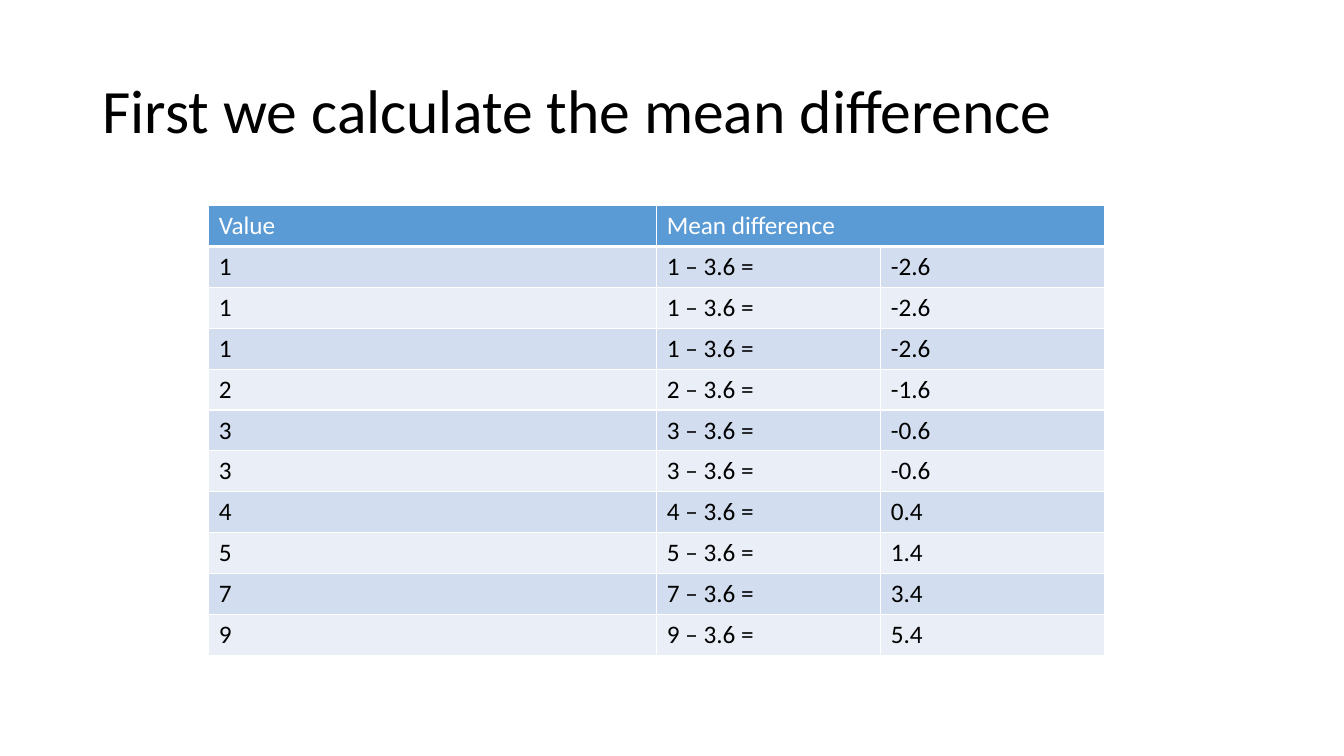
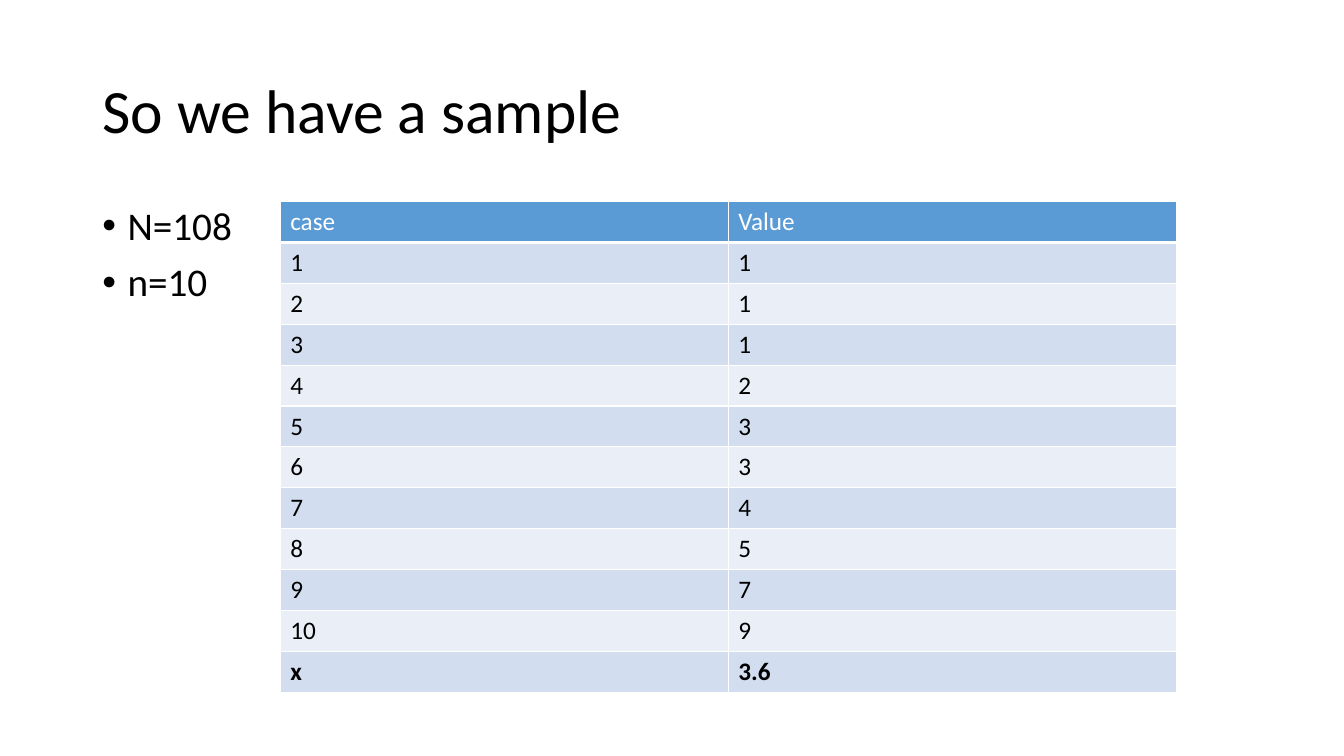
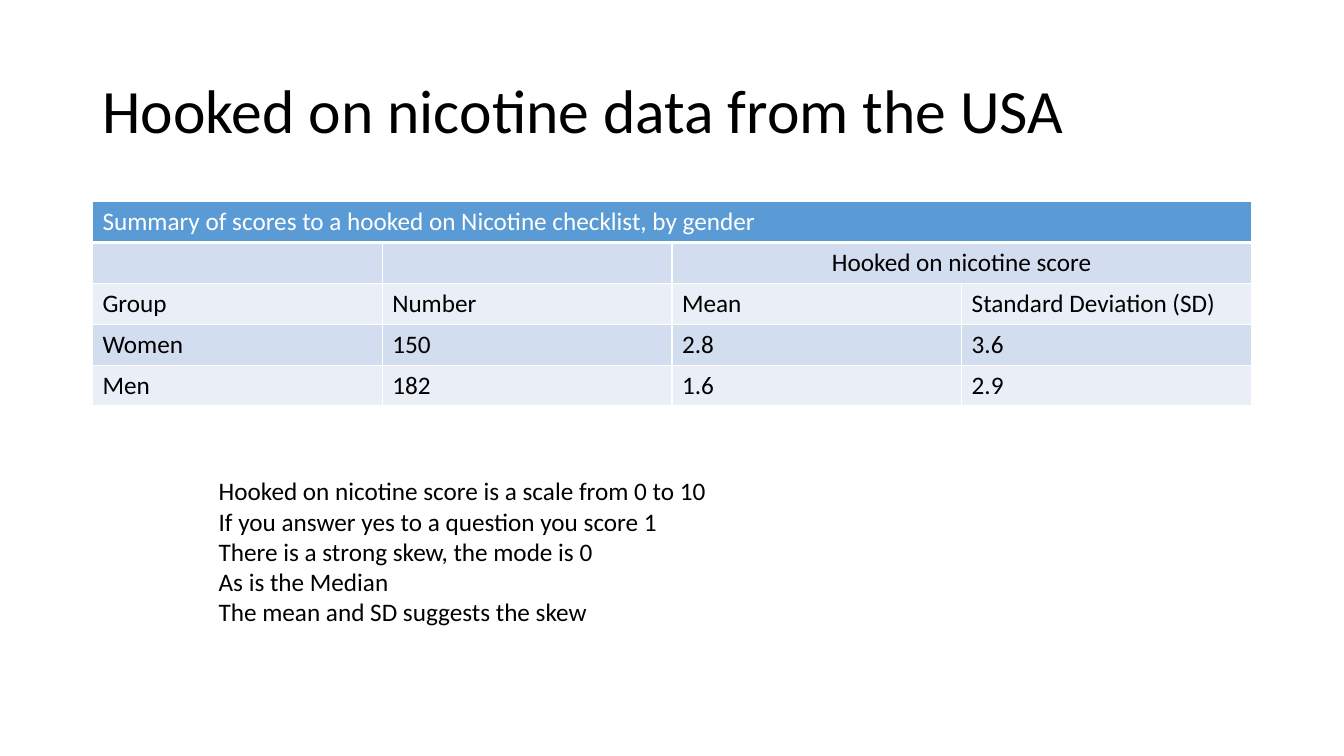
from dataclasses import dataclass

import pptx
import pptx.dml.color
import pptx.enum.text
import pptx.oxml.ns
import pptx.util
from lxml import etree

ALIGN = pptx.enum.text.PP_ALIGN
ANCHOR = pptx.enum.text.MSO_ANCHOR
AUTO_SIZE = pptx.enum.text.MSO_AUTO_SIZE
WIDTH, HEIGHT = pptx.util.Inches(13.33), pptx.util.Inches(7.5)


@dataclass(frozen=True)
class Theme:
    font: str = "Calibri"
    ink: str = "000000"
    paper: str = "FFFFFF"
    header: str = "5B9BD5"
    bands: tuple = ("D2DEEF", "EAEFF7")
    title_size: int = 44
    bullet_size: int = 28
    text_size: int = 18
    row_height: float = 29.2
    line_spacing: float = 0.9
    rule: int = 1
    header_rule: int = 3


@dataclass(frozen=True)
class Box:
    """An area in hundredths of the slide's width and height."""
    left: float
    top: float
    width: float
    height: float

    def place(self):
        return (int(WIDTH * self.left / 100), int(HEIGHT * self.top / 100),
                int(WIDTH * self.width / 100), int(HEIGHT * self.height / 100))


THEME = Theme()
MARGIN = 6.88
CONTENT_WIDTH = 100 - 2 * MARGIN
CONTENT_TOP = 26.67
INSET = 15.53
TABLE_WIDTH = 66.67
TITLE_BOX = Box(MARGIN, 5.33, CONTENT_WIDTH, 19.33)


def rgb(colour):
    return pptx.dml.color.RGBColor.from_string(colour)


def style(para, size, colour=THEME.ink, bold=False):
    para.font.name = THEME.font
    para.font.size = pptx.util.Pt(size)
    para.font.bold = bold
    para.font.color.rgb = rgb(colour)


def add_page(deck, title):
    """Title-only page with the shared title style."""
    page = deck.slides.add_slide(deck.slide_layouts[5])
    box = page.shapes.title
    box.left, box.top, box.width, box.height = TITLE_BOX.place()
    frame = box.text_frame
    frame.text = title
    frame.vertical_anchor = ANCHOR.MIDDLE
    frame.auto_size = AUTO_SIZE.NONE
    para = frame.paragraphs[0]
    para.alignment = ALIGN.LEFT
    para.line_spacing = THEME.line_spacing
    style(para, THEME.title_size)
    return page


def add_lines(page, area, lines, size):
    """Text box with one paragraph for each line."""
    frame = page.shapes.add_textbox(*area.place()).text_frame
    frame.word_wrap = True
    frame.text = "\n".join(lines)
    for para in frame.paragraphs:
        style(para, size)
    return frame


def add_bullets(page, area, lines):
    frame = add_lines(page, area, lines, THEME.bullet_size)
    for index, para in enumerate(frame.paragraphs):
        para.line_spacing = THEME.line_spacing
        if index:
            para.space_before = pptx.util.Pt(10)
        properties = para._p.get_or_add_pPr()
        indent = pptx.util.Inches(0.25)
        properties.set("marL", str(indent))
        properties.set("indent", str(-indent))
        # Bullet elements stand before the paragraph's font
        font = properties.find(pptx.oxml.ns.qn("a:defRPr"))
        for tag, name, value in (("a:buFont", "typeface", "Arial"), ("a:buChar", "char", "•")):
            bullet = etree.Element(pptx.oxml.ns.qn(tag))
            bullet.set(name, value)
            font.addprevious(bullet)


def add_borders(cell, bottom):
    properties = cell._tc.get_or_add_tcPr()
    widths = {"L": THEME.rule, "R": THEME.rule, "T": THEME.rule, "B": bottom}
    for side, width in widths.items():
        line = etree.SubElement(properties, pptx.oxml.ns.qn("a:ln" + side))
        line.set("w", str(pptx.util.Pt(width)))
        fill = etree.SubElement(line, pptx.oxml.ns.qn("a:solidFill"))
        etree.SubElement(fill, pptx.oxml.ns.qn("a:srgbClr")).set("val", THEME.paper)


def add_banded_table(page, left, top, shares, rows, bold_rows=(), centred=()):
    """Table with a header; None extends the cell to its left."""
    row_height = pptx.util.Pt(THEME.row_height)
    area = Box(left, top, sum(shares), 100 * row_height * len(rows) / HEIGHT)
    table = page.shapes.add_table(len(rows), len(shares), *area.place()).table
    table.first_row = table.horz_banding = False
    for column, share in zip(table.columns, shares):
        column.width = int(WIDTH * share / 100)
    for r, texts in enumerate(rows):
        table.rows[r].height = row_height
        is_header = r == 0
        fill = THEME.header if is_header else THEME.bands[(r - 1) % 2]
        for c, text in enumerate(texts):
            cell = table.cell(r, c)
            add_borders(cell, THEME.header_rule if is_header else THEME.rule)
            cell.fill.solid()
            cell.fill.fore_color.rgb = rgb(fill)
            if text is None:
                continue
            cell.text = text
            para = cell.text_frame.paragraphs[0]
            if (r, c) in centred:
                para.alignment = ALIGN.CENTER
            style(para, THEME.text_size, THEME.paper if is_header else THEME.ink, r in bold_rows)
            end = c
            while end + 1 < len(texts) and texts[end + 1] is None:
                end += 1
            if end > c:
                cell.merge(table.cell(r, end))


def add_difference_page(deck, values, mean):
    page = add_page(deck, "First we calculate the mean difference")
    rows = [("Value", "Mean difference", None)]
    rows += [(str(value), f"{value} – {mean} =", f"{value - mean:.1f}") for value in values]
    half = TABLE_WIDTH / 2
    add_banded_table(page, INSET, 27.2, (half, half / 2, half / 2), rows)


def add_sample_page(deck, values, mean):
    page = add_page(deck, "So we have a sample")
    add_bullets(page, Box(MARGIN, CONTENT_TOP, CONTENT_WIDTH, 63.47),
                ("N=108", f"n={len(values)}"))
    rows = [("case", "Value")]
    rows += [(str(case), str(value)) for case, value in enumerate(values, 1)]
    rows.append(("x", str(mean)))
    add_banded_table(page, 20.85, CONTENT_TOP, (TABLE_WIDTH / 2,) * 2, rows,
                     bold_rows=(len(rows) - 1,))


def add_nicotine_page(deck):
    page = add_page(deck, "Hooked on nicotine data from the USA")
    rows = [
        ("Summary of scores to a hooked on Nicotine checklist, by gender", None, None, None),
        ("", "", "Hooked on nicotine score", None),
        ("Group", "Number", "Mean", "Standard Deviation (SD)"),
        ("Women", "150", "2.8", "3.6"),
        ("Men", "182", "1.6", "2.9"),
    ]
    add_banded_table(page, MARGIN, CONTENT_TOP, (CONTENT_WIDTH / 4,) * 4, rows,
                     centred={(1, 2)})
    notes = add_lines(page, Box(INSET, 62.27, TABLE_WIDTH, 21.6), (
        "Hooked on nicotine score is a scale from 0 to 10",
        "If you answer yes to a question you score 1",
        "There is a strong skew, the mode is 0",
        "As is the Median",
        "The mean and SD suggests the skew",
    ), THEME.text_size)
    notes.auto_size = AUTO_SIZE.SHAPE_TO_FIT_TEXT


def main():
    deck = pptx.Presentation()
    deck.slide_width, deck.slide_height = WIDTH, HEIGHT
    values = (1, 1, 1, 2, 3, 3, 4, 5, 7, 9)
    mean = sum(values) / len(values)
    add_difference_page(deck, values, mean)
    add_sample_page(deck, values, mean)
    add_nicotine_page(deck)
    deck.save("out.pptx")


if __name__ == "__main__":
    main()
